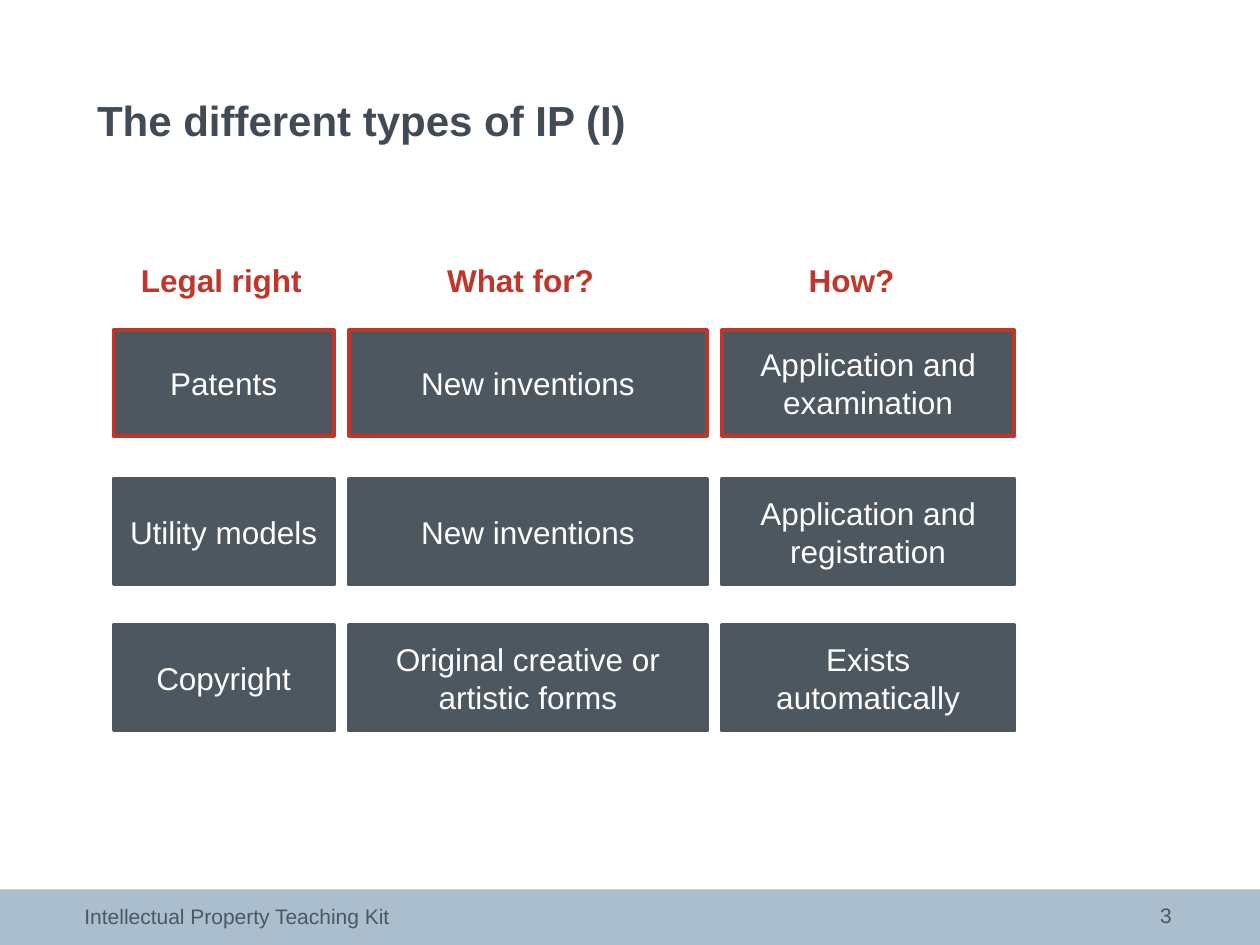
from dataclasses import dataclass

from pptx import Presentation
from pptx.dml.color import RGBColor
from pptx.enum.shapes import MSO_SHAPE
from pptx.enum.text import MSO_ANCHOR, PP_ALIGN
from pptx.shapes.autoshape import Shape
from pptx.slide import Slide
from pptx.text.text import TextFrame
from pptx.util import Inches, Pt


@dataclass(frozen=True)
class Theme:
    """Colours, font and type sizes of the slide."""
    font: str = "Arial"
    title: str = "404B56"
    slate: str = "4C575F"
    accent: str = "C0362B"
    band: str = "ABBECD"
    white: str = "FFFFFF"
    title_size: int = 24
    body_size: int = 18
    footer_size: int = 12


@dataclass(frozen=True)
class Column:
    """A column of boxes with its heading, in inches."""
    heading: str
    heading_left: float
    heading_width: float
    left: float
    width: float
    wrap: bool = False


@dataclass(frozen=True)
class Row:
    """A row of boxes with its top in inches and its outline colour."""
    top: float
    line: str
    cells: tuple[str, ...]


THEME = Theme()
HEADING_TOP, HEADING_HEIGHT, BOX_HEIGHT = 2.02, 0.4, 0.84
COLUMNS = (
    Column("Legal right", 1.02, 1.5, 0.9, 1.75, wrap=True),
    Column("What for?", 3.45, 1.37, 2.77, 2.84),
    Column("How?", 6.32, 0.88, 5.73, 2.32),
)
ROWS = (
    Row(2.62, THEME.accent, ("Patents", "New inventions", "Application and examination")),
    Row(3.8, THEME.slate, ("Utility models", "New inventions", "Application and registration")),
    Row(4.96, THEME.slate, ("Copyright", "Original creative or artistic forms", "Exists automatically")),
)


def write(tf: TextFrame, text: str, *, size: int, color: str, bold: bool = False,
          align: PP_ALIGN = PP_ALIGN.LEFT, anchor: MSO_ANCHOR = MSO_ANCHOR.TOP,
          wrap: bool = True, inset: bool = True) -> None:
    """Put one formatted paragraph into a text frame."""
    tf.word_wrap = wrap
    tf.vertical_anchor = anchor
    if not inset:
        tf.margin_left = tf.margin_right = tf.margin_top = tf.margin_bottom = 0
    p = tf.paragraphs[0]
    p.alignment = align
    r = p.add_run()
    r.text = text
    r.font.name = THEME.font
    r.font.size = Pt(size)
    r.font.bold = bold
    r.font.color.rgb = RGBColor.from_string(color)


def add_box(s: Slide, left: float, top: float, width: float, height: float,
            fill: str, line: str | None = None) -> Shape:
    """Draw a flat rectangle, outlined if a line colour is given."""
    sp = s.shapes.add_shape(MSO_SHAPE.RECTANGLE, Inches(left), Inches(top),
                            Inches(width), Inches(height))
    sp.shadow.inherit = False
    sp.fill.solid()
    sp.fill.fore_color.rgb = RGBColor.from_string(fill)
    if line is None:
        sp.line.fill.background()
    else:
        sp.line.color.rgb = RGBColor.from_string(line)
        sp.line.width = Pt(2)
    return sp


def add_label(s: Slide, text: str, left: float, top: float, width: float,
              height: float, **style) -> None:
    """Add a text box holding one formatted paragraph."""
    sp = s.shapes.add_textbox(Inches(left), Inches(top), Inches(width), Inches(height))
    write(sp.text_frame, text, **style)


def add_title(s: Slide, text: str) -> None:
    """Place and fill the title placeholder."""
    sp = s.shapes.title
    sp.left, sp.top, sp.width, sp.height = Inches(0.67), Inches(0.44), Inches(8.66), Inches(1.02)
    write(sp.text_frame, text, size=THEME.title_size, color=THEME.title, bold=True,
          anchor=MSO_ANCHOR.MIDDLE)


def add_grid(s: Slide) -> None:
    """Draw the headings and the boxes below them."""
    for col in COLUMNS:
        add_label(s, col.heading, col.heading_left, HEADING_TOP, col.heading_width,
                  HEADING_HEIGHT, size=THEME.body_size, color=THEME.accent, bold=True,
                  wrap=col.wrap)
    for row in ROWS:
        for col, text in zip(COLUMNS, row.cells):
            sp = add_box(s, col.left, row.top, col.width, BOX_HEIGHT, THEME.slate, row.line)
            write(sp.text_frame, text, size=THEME.body_size, color=THEME.white,
                  align=PP_ALIGN.CENTER, anchor=MSO_ANCHOR.MIDDLE)


def add_footer(s: Slide) -> None:
    """Write the kit name and the slide number on the band."""
    style = {"size": THEME.footer_size, "color": THEME.slate, "inset": False}
    add_label(s, "3", 8.47, 7.14, 0.83, 0.24, align=PP_ALIGN.RIGHT,
              anchor=MSO_ANCHOR.MIDDLE, **style)
    add_label(s, "Intellectual Property Teaching Kit", 0.67, 7.17, 5.91, 0.33, **style)


def main() -> None:
    """Build and save the slide."""
    prs = Presentation()
    prs.slide_width, prs.slide_height = Inches(10), Inches(7.5)
    s = prs.slides.add_slide(prs.slide_layouts.get_by_name("Title Only"))
    add_box(s, 0, 7.06, 10, 0.44, THEME.band)
    add_title(s, "The different types of IP (I)")
    add_grid(s)
    add_footer(s)
    prs.save("out.pptx")


if __name__ == "__main__":
    main()
